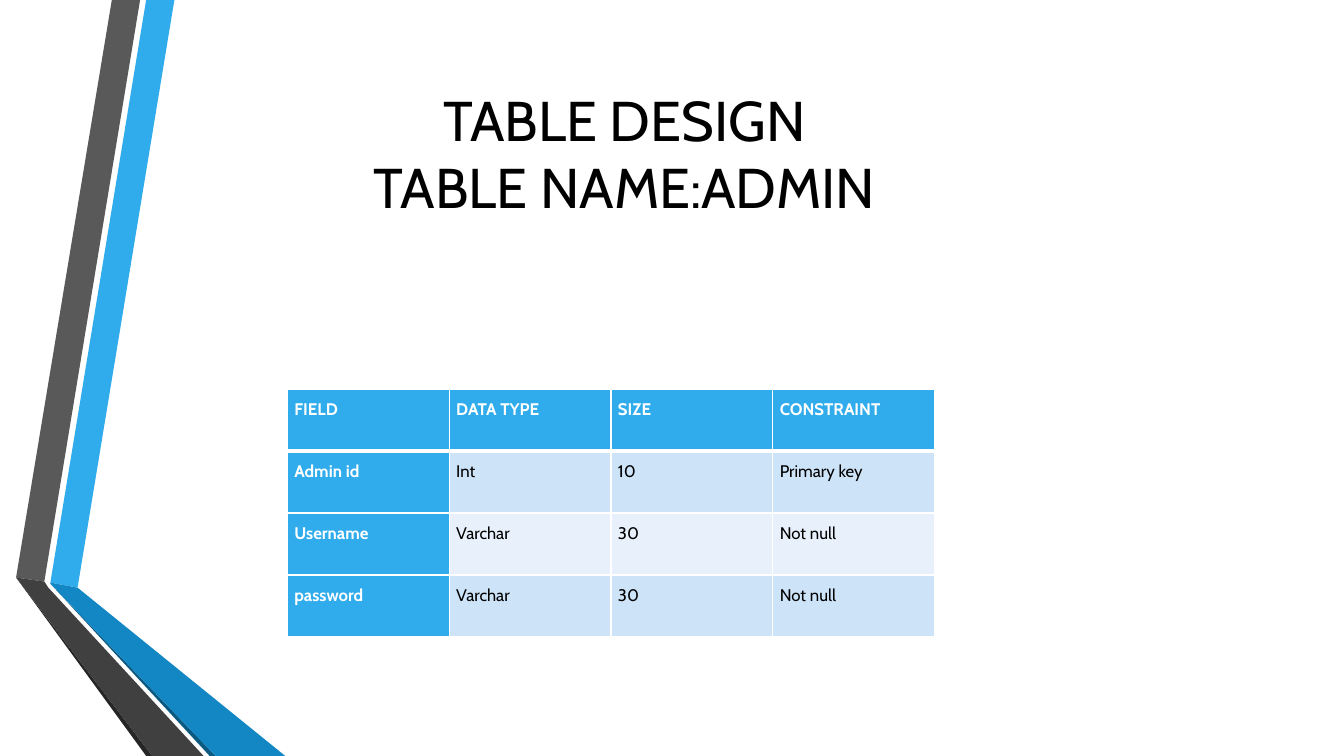
from lxml import etree
from pptx import Presentation
from pptx.dml.color import RGBColor
from pptx.enum import text
from pptx.oxml import ns
from pptx.util import Inches, Pt

BLACK = RGBColor(0x00, 0x00, 0x00)
WHITE = RGBColor(0xFF, 0xFF, 0xFF)
BLUE = RGBColor(0x30, 0xAC, 0xEC)
MID_BLUE = RGBColor(0x12, 0x87, 0xC3)
DARK_BLUE = RGBColor(0x0C, 0x5A, 0x82)
GREY = RGBColor(0x59, 0x59, 0x59)
DARK_GREY = RGBColor(0x40, 0x40, 0x40)
CHARCOAL = RGBColor(0x26, 0x26, 0x26)
BAND = RGBColor(0xCD, 0xE3, 0xF8)
PALE_BAND = RGBColor(0xE8, 0xF1, 0xFB)


def write(tf, content, size=12, color=BLACK, bold=False,
          align=text.PP_ALIGN.LEFT, spacing=1.0, after=0):
    p = tf.paragraphs[0]
    p.alignment = align
    p.line_spacing = spacing
    p.space_before = Pt(0)
    p.space_after = Pt(after)
    for i, line in enumerate(content.split("\n")):
        if i:
            p.add_line_break()
        r = p.add_run()
        r.text = line
        r.font.name = "Cabin"
        r.font.size = Pt(size)
        r.font.bold = bold
        r.font.color.rgb = color


def add_border(cell, side, width):
    tc_pr = cell._tc.get_or_add_tcPr()
    ln = etree.SubElement(tc_pr, ns.qn(f"a:ln{side}"), w=str(Pt(width)))
    fill = etree.SubElement(ln, ns.qn("a:solidFill"))
    etree.SubElement(fill, ns.qn("a:srgbClr"), val=str(WHITE))


prs = Presentation()
prs.slide_width = Inches(13.33)
prs.slide_height = Inches(7.5)
s = prs.slides.add_slide(prs.slide_layouts[5])

ribbons = [
    (BLUE, [(0.5, 5.78), (0.77, 5.83), (1.73, 0), (1.45, 0)]),
    (GREY, [(1.39, 0), (1.11, 0), (0.16, 5.73), (0.44, 5.77)]),
    (CHARCOAL, [(0.16, 5.73), (1.45, 7.5), (1.51, 7.5)]),
    (DARK_BLUE, [(0.5, 5.79), (2.08, 7.5), (2.14, 7.5)]),
    (MID_BLUE, [(0.5, 5.78), (0.5, 5.79), (2.14, 7.5), (2.83, 7.5), (0.77, 5.83)]),
    (DARK_GREY, [(2.02, 7.5), (0.48, 5.83), (0.44, 5.77), (0.16, 5.73), (1.51, 7.5)]),
]
for color, points in ribbons:
    corners = [(Inches(x), Inches(y)) for x, y in points]
    builder = s.shapes.build_freeform(*corners[0])
    builder.add_line_segments(corners[1:], close=True)
    sp = builder.convert_to_shape()
    sp.shadow.inherit = False
    sp.fill.solid()
    sp.fill.fore_color.rgb = color
    sp.line.fill.background()

title = s.shapes.title
title.left, title.top = Inches(1.1), Inches(0.57)
title.width, title.height = Inches(10.19), Inches(1.88)
tf = title.text_frame
tf.word_wrap = True
tf.auto_size = text.MSO_AUTO_SIZE.NONE
tf.vertical_anchor = text.MSO_ANCHOR.MIDDLE
write(tf, "TABLE DESIGN\nTABLE NAME:ADMIN", size=40, align=text.PP_ALIGN.CENTER)

rows = [
    ("FIELD", "DATA TYPE", "SIZE", "CONSTRAINT"),
    ("Admin id", "Int", "10", "Primary key"),
    ("Username", "Varchar", "30", "Not null"),
    ("password", "Varchar", "30", "Not null"),
]
table = s.shapes.add_table(len(rows), len(rows[0]), Inches(2.85), Inches(3.86),
                           Inches(6.42), Inches(2.46)).table
for row, values in enumerate(rows):
    for col, value in enumerate(values):
        cell = table.cell(row, col)
        cell.margin_left = cell.margin_right = Inches(0.07)
        cell.margin_top = cell.margin_bottom = 0
        heading = row == 0 or col == 0
        write(cell.text_frame, value, color=WHITE if heading else BLACK,
              bold=heading, spacing=1.5, after=10)
        add_border(cell, "L", 1)
        add_border(cell, "R", 1)
        add_border(cell, "T", 3 if row == 1 else 1)
        add_border(cell, "B", 3 if row == 0 else 1)
        cell.fill.solid()
        cell.fill.fore_color.rgb = BLUE if heading else BAND if row % 2 else PALE_BAND

prs.save("out.pptx")
